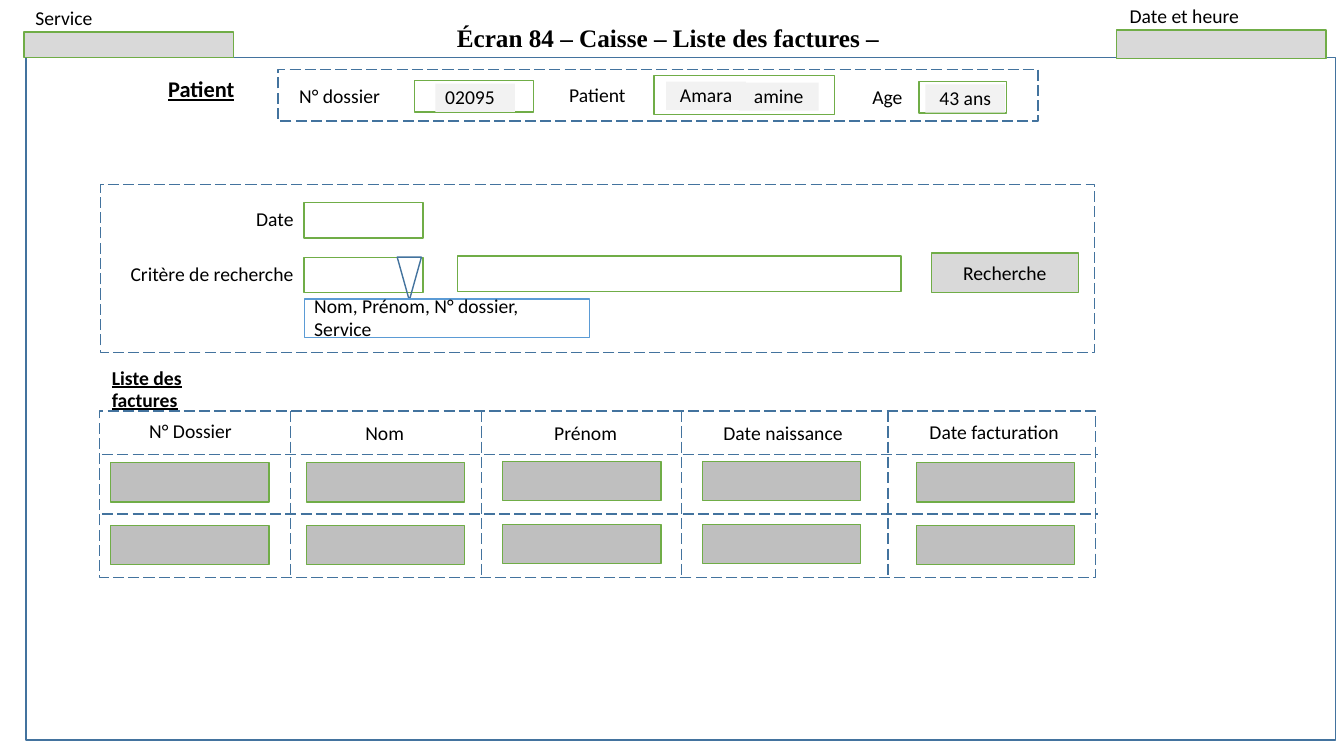
from pptx import Presentation
from pptx.dml.color import RGBColor
from pptx.enum.dml import MSO_LINE
from pptx.enum.shapes import MSO_CONNECTOR, MSO_SHAPE
from pptx.enum.text import MSO_ANCHOR as Anchor, PP_ALIGN as Align
from pptx.oxml.ns import qn
from pptx.util import Cm, Pt
from lxml.etree import SubElement

BLACK = RGBColor(0x00, 0x00, 0x00)
WHITE = RGBColor(0xFF, 0xFF, 0xFF)
NAVY = RGBColor(0x43, 0x73, 0x9E)
BLUE = RGBColor(0x5B, 0x9B, 0xD5)
GREEN = RGBColor(0x70, 0xAD, 0x47)
PALE = RGBColor(0xF2, 0xF2, 0xF2)
LIGHT = RGBColor(0xD9, 0xD9, 0xD9)
GREY = RGBColor(0xBF, 0xBF, 0xBF)


class Screen:
    """Draws the form elements of one screen in a shared style."""

    font = "Calibri"
    size = 14
    spacing = 0.95

    def __init__(self, page):
        self.shapes = page.shapes

    def stroke(self, line, color, dashed=False):
        line.color.rgb = color
        line.width = Pt(1)
        if dashed:
            line.dash_style = MSO_LINE.LONG_DASH

    def add_text(self, box, text, align, anchor=Anchor.MIDDLE, size=None,
                 font=None, bold=False, underline=False, spacing=None):
        frame = box.text_frame
        frame.word_wrap = True
        frame.vertical_anchor = anchor
        para = frame.paragraphs[0]
        para.alignment = align
        para.line_spacing = spacing or self.spacing
        span = para.add_run()
        span.text = text
        span.font.name = font or self.font
        span.font.size = Pt(size or self.size)
        span.font.color.rgb = BLACK
        span.font.bold = bold
        span.font.underline = underline

    def label(self, text, left, top, width, height, align=Align.CENTER, **style):
        box = self.shapes.add_textbox(Cm(left), Cm(top), Cm(width), Cm(height))
        self.add_text(box, text, align, **style)

    def box(self, left, top, width, height, line=GREEN, fill=None,
            dashed=False, kind=MSO_SHAPE.RECTANGLE):
        shape = self.shapes.add_shape(kind, Cm(left), Cm(top), Cm(width), Cm(height))
        shape.shadow.inherit = False
        if fill is None:
            shape.fill.background()
        else:
            shape.fill.solid()
            shape.fill.fore_color.rgb = fill
        if line is None:
            shape.line.fill.background()
        else:
            self.stroke(shape.line, line, dashed)
        return shape

    def panel(self, left, top, width, height):
        self.box(left, top, width, height, NAVY, dashed=True)

    def value(self, text, left, top, align=Align.CENTER):
        self.add_text(self.box(left, top, 2.01, 0.71, None, PALE), text, align)

    def rule(self, left, top, right, bottom):
        line = self.shapes.add_connector(
            MSO_CONNECTOR.STRAIGHT, Cm(left), Cm(top), Cm(right), Cm(bottom))
        self.stroke(line.line, NAVY, dashed=True)
        SubElement(line._element.spPr, qn("a:effectLst"))


def draw_header(screen):
    screen.box(0.66, 1.45, 33, 17.2, NAVY)
    screen.box(0.61, 0.81, 5.28, 0.64, fill=LIGHT)
    screen.box(28.14, 0.76, 5.28, 0.71, fill=LIGHT)
    for text, left, top in (("Service", 0.64, 0.03), ("Date et heure", 28.22, -0.03)):
        screen.label(text, left, top, 3.56, 0.86, Align.LEFT,
                     anchor=Anchor.TOP, spacing=1)
    screen.label("Écran 84 – Caisse – Liste des factures –", 7.6, -0.03, 18.47, 1.5,
                 anchor=Anchor.BOTTOM, size=18, font="Times New Roman", bold=True)


def draw_patient(screen):
    screen.label("Patient", 3.99, 1.65, 3, 1.22, Align.LEFT,
                 size=16, bold=True, underline=True)
    screen.panel(7.01, 1.75, 19.15, 1.3)
    screen.label("N° dossier", 7.14, 1.9, 2.84, 1.09)
    screen.label("Patient", 13.72, 1.88, 2.67, 1.09)
    screen.label("Age", 21.59, 1.93, 1.55, 1.07)
    screen.box(10.44, 2.03, 3, 0.79)
    screen.box(16.48, 1.9, 4.55, 0.99)
    screen.box(23.16, 2.06, 2.21, 0.79)
    screen.value("02095", 10.97, 2.11, Align.LEFT)
    screen.value("Amara", 16.79, 2.06)
    screen.value("amine", 18.62, 2.08)
    screen.value("43 ans", 23.32, 2.13)


def draw_search(screen):
    screen.panel(2.54, 4.65, 25.04, 4.24)
    for text, top in (("Date", 5.05), ("Critère de recherche", 6.43)):
        screen.label(text, 2.88, top, 4.77, 0.97, Align.RIGHT)
        screen.box(7.66, top + 0.06, 3, 0.89)
    screen.box(11.53, 6.45, 11.18, 0.89)
    button = screen.box(23.47, 6.38, 3.71, 0.99, fill=LIGHT)
    screen.add_text(button, "Recherche", Align.CENTER, spacing=1)
    arrow = screen.box(10.01, 6.48, 0.61, 1.09, NAVY, kind=MSO_SHAPE.ISOSCELES_TRIANGLE)
    arrow.rotation = 180
    choices = screen.box(7.67, 7.54, 7.19, 0.97, BLUE, WHITE)
    screen.add_text(choices, "Nom, Prénom, N° dossier, Service", Align.LEFT)


def draw_invoices(screen):
    screen.label("Liste des factures", 2.57, 9.32, 3.99, 0.99, Align.LEFT,
                 bold=True, underline=True)
    screen.panel(2.51, 10.36, 25.1, 4.19)
    columns = (
        ("N° Dossier", 3.33, 10.49, 2.95, 2.79, 11.66),
        ("Nom", 8.69, 10.54, 2.01, 7.72, 11.66),
        ("Prénom", 13.26, 10.54, 3, 12.67, 11.63),
        ("Date naissance", 17.98, 10.54, 3.51, 17.7, 11.63),
        ("Date facturation", 23.01, 10.52, 4.09, 23.09, 11.66),
    )
    for text, left, top, width, cell_left, cell_top in columns:
        screen.label(text, left, top, width, 0.79)
        for row in range(2):
            screen.box(cell_left, cell_top + 1.58 * row, 3.99, 0.99, fill=GREY)
    for left in (7.32, 12.14, 17.17, 22.38):
        screen.rule(left, 10.36, left, 14.58)
    for top in (11.46, 12.95):
        screen.rule(2.57, top, 27.66, top)


def main():
    deck = Presentation()
    deck.slide_width = Cm(33.87)
    deck.slide_height = Cm(19.05)
    screen = Screen(deck.slides.add_slide(deck.slide_layouts[6]))
    draw_header(screen)
    draw_patient(screen)
    draw_search(screen)
    draw_invoices(screen)
    deck.save("out.pptx")


if __name__ == "__main__":
    main()
